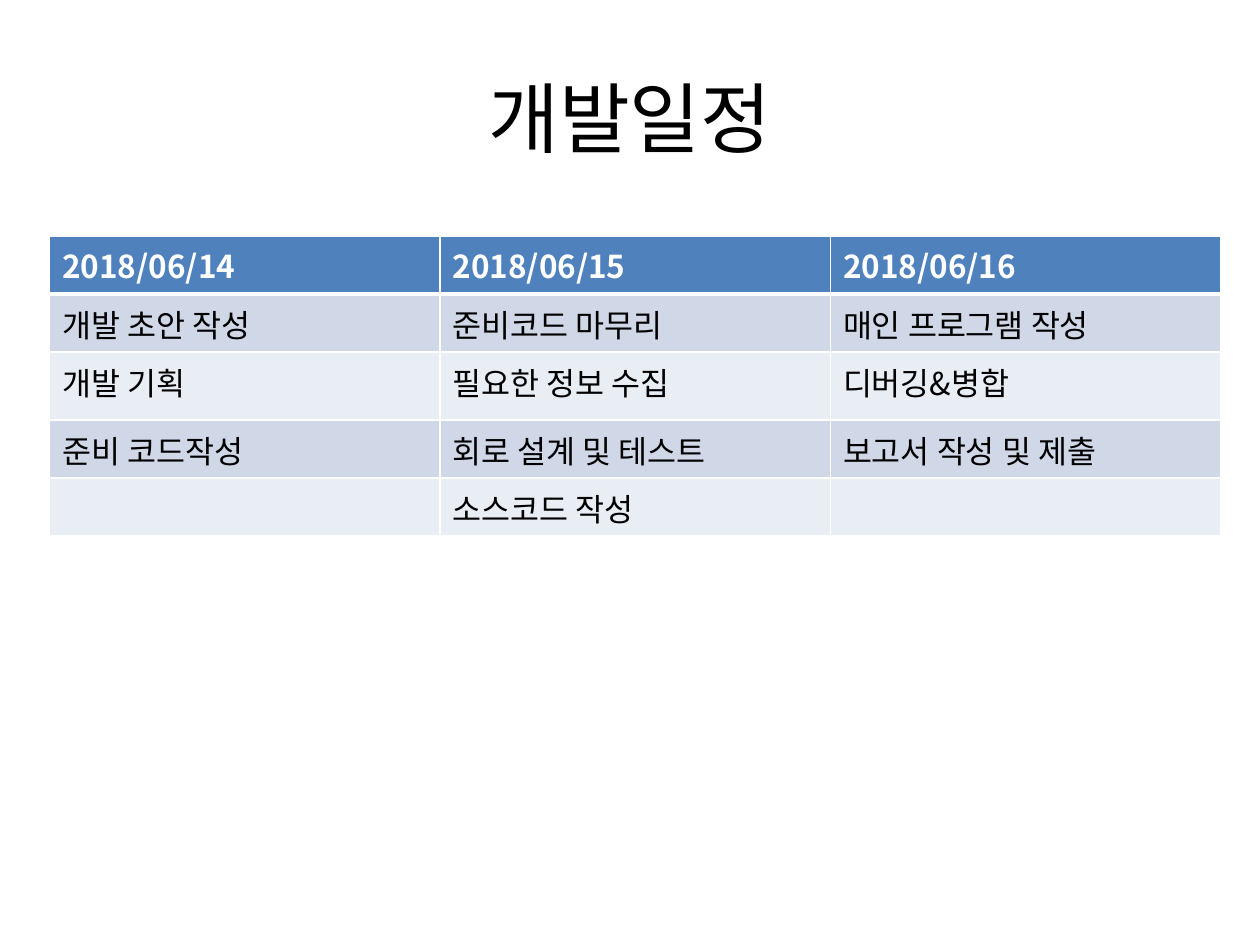
from lxml.etree import SubElement
from pptx import Presentation
from pptx.dml.color import RGBColor
from pptx.enum.text import MSO_ANCHOR, PP_ALIGN
from pptx.oxml import parse_xml
from pptx.oxml.ns import nsdecls, qn
from pptx.util import Cm, Pt

FONT = "Noto Sans CJK KR"
WHITE, BLACK = "FFFFFF", "000000"
HEADER_FILL = "4F81BD"
BAND_FILLS = ["D0D8E8", "E9EDF4"]
COLUMN_WIDTH = 7.87
ROW_HEIGHTS = [1.17, 1.17, 1.37, 1.17, 1.17]
SCHEDULE = [
    ["2018/06/14", "2018/06/15", "2018/06/16"],
    ["개발 초안 작성", "준비코드 마무리", "매인 프로그램 작성"],
    ["개발 기획", "필요한 정보 수집", "디버깅&병합"],
    ["준비 코드작성", "회로 설계 및 테스트", "보고서 작성 및 제출"],
    ["", "소스코드 작성", ""],
]


def rgb(value):
    return RGBColor.from_string(value)


def set_text(tf, text, size, color, bold=False):
    p = tf.paragraphs[0]
    p.text = text
    font = p.font
    font.size = Pt(size)
    font.bold = bold
    font.color.rgb = rgb(color)
    font.name = FONT
    props = p._p.find(qn("a:pPr")).find(qn("a:defRPr"))
    SubElement(props, qn("a:ea"), typeface=FONT)
    return p


def set_borders(cell, top, bottom):
    tc_pr = cell._tc.get_or_add_tcPr()
    sides = [("L", 1), ("R", 1), ("T", top), ("B", bottom)]
    for i, (side, width) in enumerate(sides):
        line = parse_xml(
            f'<a:ln{side} {nsdecls("a")} w="{Pt(width)}"><a:solidFill>'
            f'<a:srgbClr val="{WHITE}"/></a:solidFill></a:ln{side}>'
        )
        tc_pr.insert(i, line)


def add_title(s, text):
    sp = s.shapes.add_textbox(Cm(1.27), Cm(0.76), Cm(22.86), Cm(3.18))
    tf = sp.text_frame
    tf.word_wrap = True
    tf.vertical_anchor = MSO_ANCHOR.MIDDLE
    p = set_text(tf, text, 44, BLACK)
    p.alignment = PP_ALIGN.CENTER


def add_schedule(s, rows):
    columns = len(rows[0])
    frame = s.shapes.add_table(
        len(rows), columns, Cm(1), Cm(4.76),
        Cm(COLUMN_WIDTH * columns), Cm(sum(ROW_HEIGHTS)),
    )
    table = frame.table
    for column in table.columns:
        column.width = Cm(COLUMN_WIDTH)
    for i, texts in enumerate(rows):
        table.rows[i].height = Cm(ROW_HEIGHTS[i])
        header = i == 0
        fill = HEADER_FILL if header else BAND_FILLS[(i - 1) % 2]
        for j, text in enumerate(texts):
            cell = table.cell(i, j)
            cell.fill.solid()
            cell.fill.fore_color.rgb = rgb(fill)
            set_borders(cell, 3 if i == 1 else 1, 3 if header else 1)
            set_text(cell.text_frame, text, 18, WHITE if header else BLACK, header)


def main():
    prs = Presentation()
    prs.slide_width, prs.slide_height = Cm(25.4), Cm(19.05)
    s = prs.slides.add_slide(prs.slide_layouts[6])
    add_title(s, "개발일정")
    add_schedule(s, SCHEDULE)
    prs.save("out.pptx")


main()
